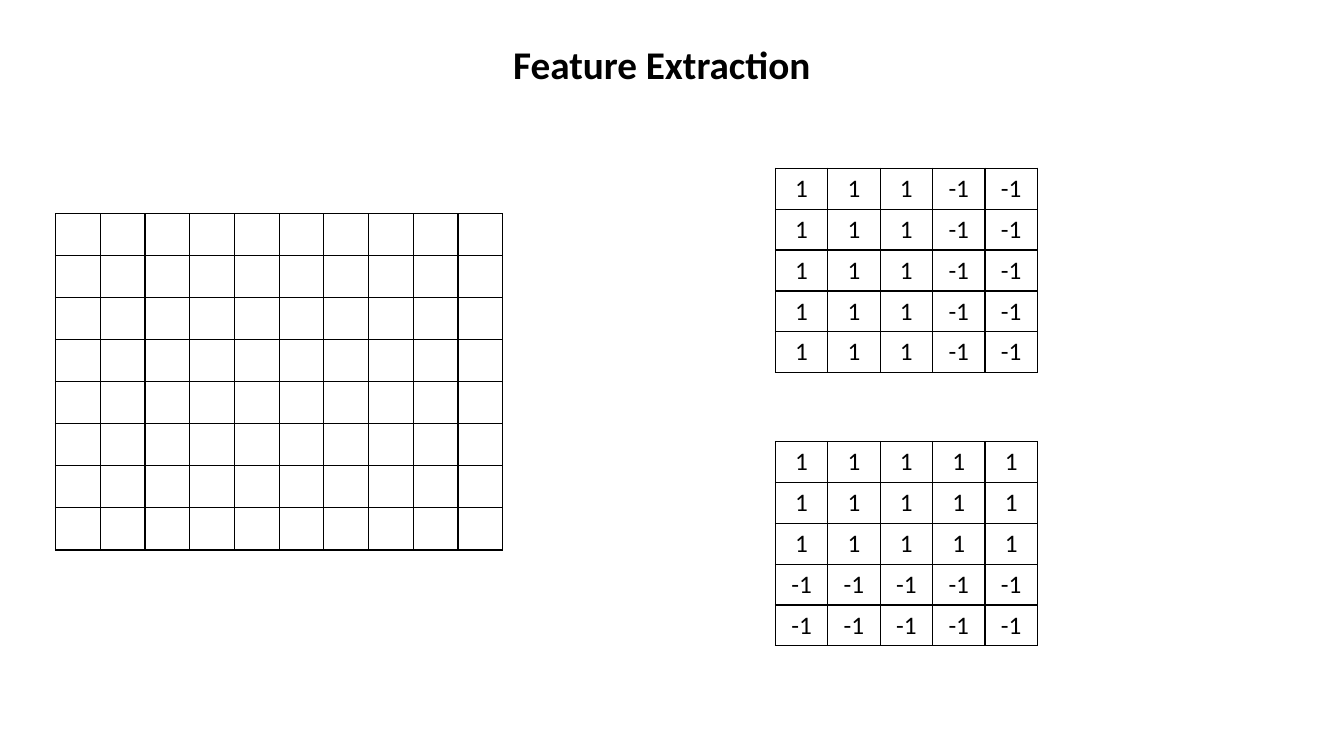
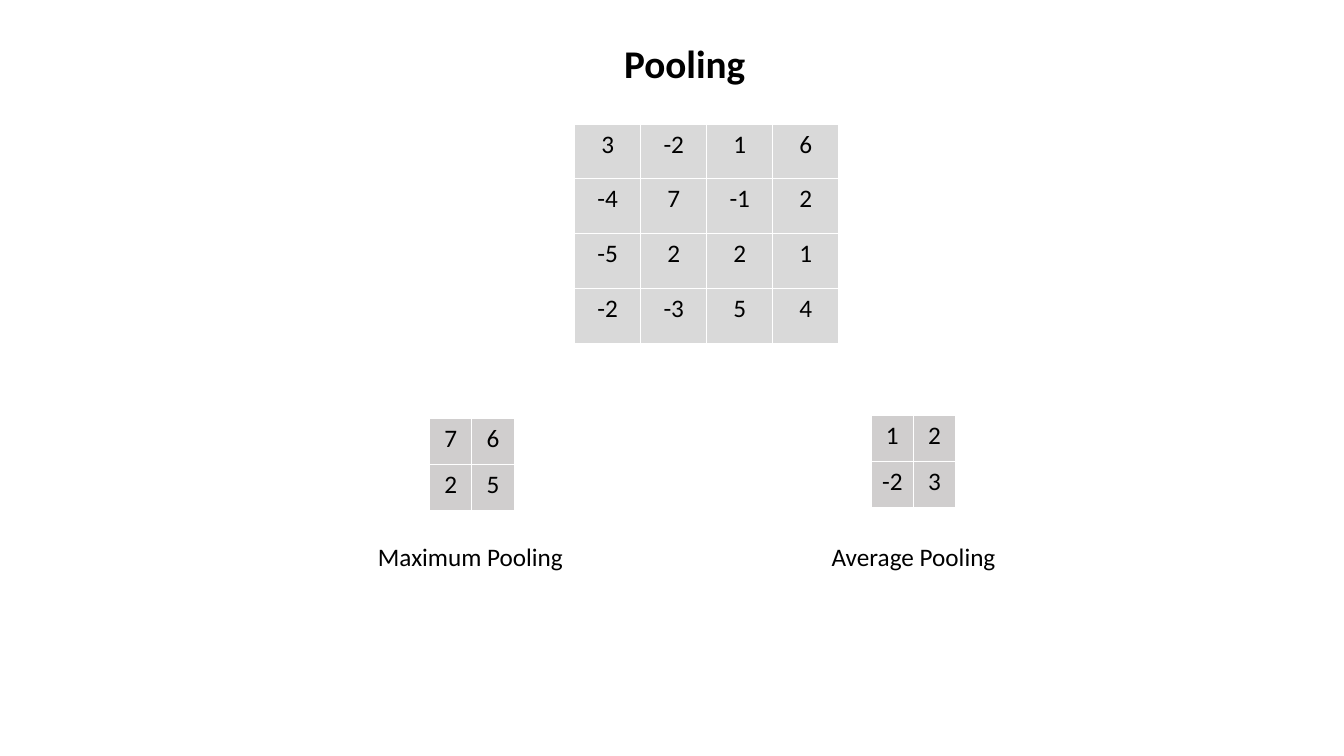
from lxml.etree import SubElement
from pptx import Presentation
from pptx.dml.color import RGBColor
from pptx.enum.text import MSO_ANCHOR, PP_ALIGN
from pptx.oxml.ns import qn
from pptx.util import Inches, Pt

FONT = "Calibri"
BLACK = RGBColor(0x00, 0x00, 0x00)
WHITE = RGBColor(0xFF, 0xFF, 0xFF)
INPUT_GREY = RGBColor(0xD9, 0xD9, 0xD9)
POOLED_GREY = RGBColor(0xD0, 0xCE, 0xCE)
TITLE_ONLY = 5


def write(tf, text, size=18, bold=False, align=PP_ALIGN.LEFT):
    tf.word_wrap = True
    p = tf.paragraphs[0]
    p.alignment = align
    r = p.add_run()
    r.text = text
    r.font.name, r.font.size, r.font.bold = FONT, Pt(size), bold
    r.font.color.rgb = BLACK


def add_titled_slide(prs, title, left, top, width):
    s = prs.slides.add_slide(prs.slide_layouts[TITLE_ONLY])
    sp = s.shapes.title
    sp.left, sp.top = Inches(left), Inches(top)
    sp.width, sp.height = Inches(width), Inches(0.57)
    sp.text_frame.vertical_anchor = MSO_ANCHOR.TOP
    write(sp.text_frame, title, size=28, bold=True)
    return s


def add_caption(s, text, left, top, width):
    sp = s.shapes.add_textbox(Inches(left), Inches(top), Inches(width), Inches(0.4))
    write(sp.text_frame, text)


def set_borders(cell, color):
    tc_pr = cell._tc.get_or_add_tcPr()
    for side in ("lnL", "lnR", "lnT", "lnB"):
        ln = SubElement(tc_pr, qn(f"a:{side}"), w=str(Pt(1)))
        fill = SubElement(ln, qn("a:solidFill"))
        SubElement(fill, qn("a:srgbClr"), val=str(color))


def add_matrix(s, values, left, top, col_width, row_height, border=BLACK, fill=None):
    """Draw a table of equal cells; empty values leave a cell blank."""
    n_rows, n_cols = len(values), len(values[0])
    table = s.shapes.add_table(
        n_rows, n_cols, Inches(left), Inches(top),
        Inches(col_width * n_cols), Inches(row_height * n_rows)).table
    table.first_row = table.horz_banding = False
    for column in table.columns:
        column.width = Inches(col_width)
    for row, row_values in zip(table.rows, values):
        row.height = Inches(row_height)
        for cell, value in zip(row.cells, row_values):
            set_borders(cell, border)
            if fill is None:
                cell.fill.background()
            else:
                cell.fill.solid()
                cell.fill.fore_color.rgb = fill
            if value != "":
                write(cell.text_frame, str(value), align=PP_ALIGN.CENTER)


def add_feature_extraction(prs):
    s = add_titled_slide(prs, "Feature Extraction", 4.99, 0.35, 3.28)
    add_matrix(s, [[""] * 10] * 8, 0.55, 2.12, 0.444, 0.417)
    vertical_edge = [[1, 1, 1, -1, -1]] * 5
    horizontal_edge = [[1] * 5] * 3 + [[-1] * 5] * 2
    for kernel, top in ((vertical_edge, 1.67), (horizontal_edge, 4.38)):
        add_matrix(s, kernel, 7.69, top, 0.52, 0.405)


def add_pooling(prs):
    s = add_titled_slide(prs, "Pooling", 6.09, 0.34, 1.45)
    feature_map = [[3, -2, 1, 6], [-4, 7, -1, 2], [-5, 2, 2, 1], [-2, -3, 5, 4]]
    add_matrix(s, feature_map, 5.7, 1.23, 0.655, 0.545, WHITE, INPUT_GREY)
    add_matrix(s, [[7, 6], [2, 5]], 4.26, 4.15, 0.42, 0.46, WHITE, POOLED_GREY)
    add_matrix(s, [[1, 2], [-2, 3]], 8.64, 4.12, 0.42, 0.46, WHITE, POOLED_GREY)
    add_caption(s, "Maximum Pooling", 3.65, 5.32, 2.1)
    add_caption(s, "Average Pooling", 8.15, 5.32, 2.18)


def main():
    prs = Presentation()
    prs.slide_width, prs.slide_height = Inches(13.33), Inches(7.5)
    add_feature_extraction(prs)
    add_pooling(prs)
    prs.save("out.pptx")


if __name__ == "__main__":
    main()
